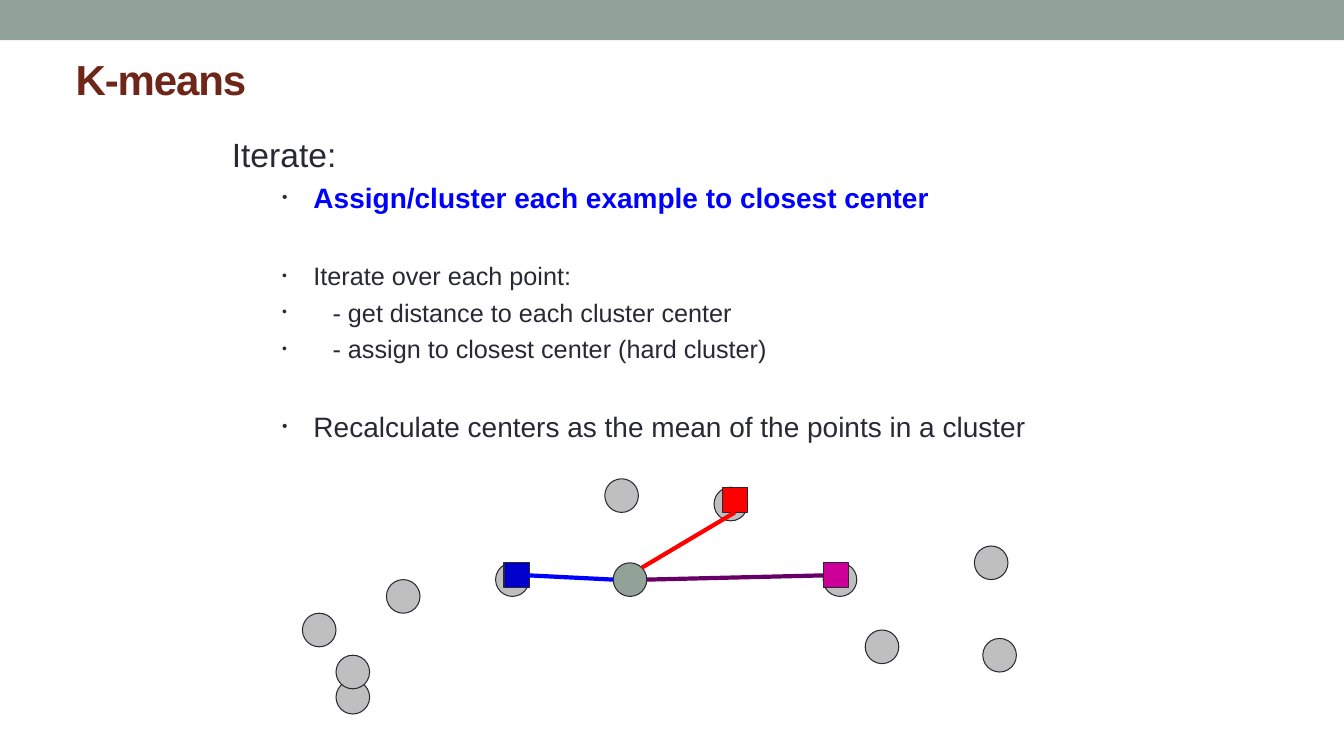
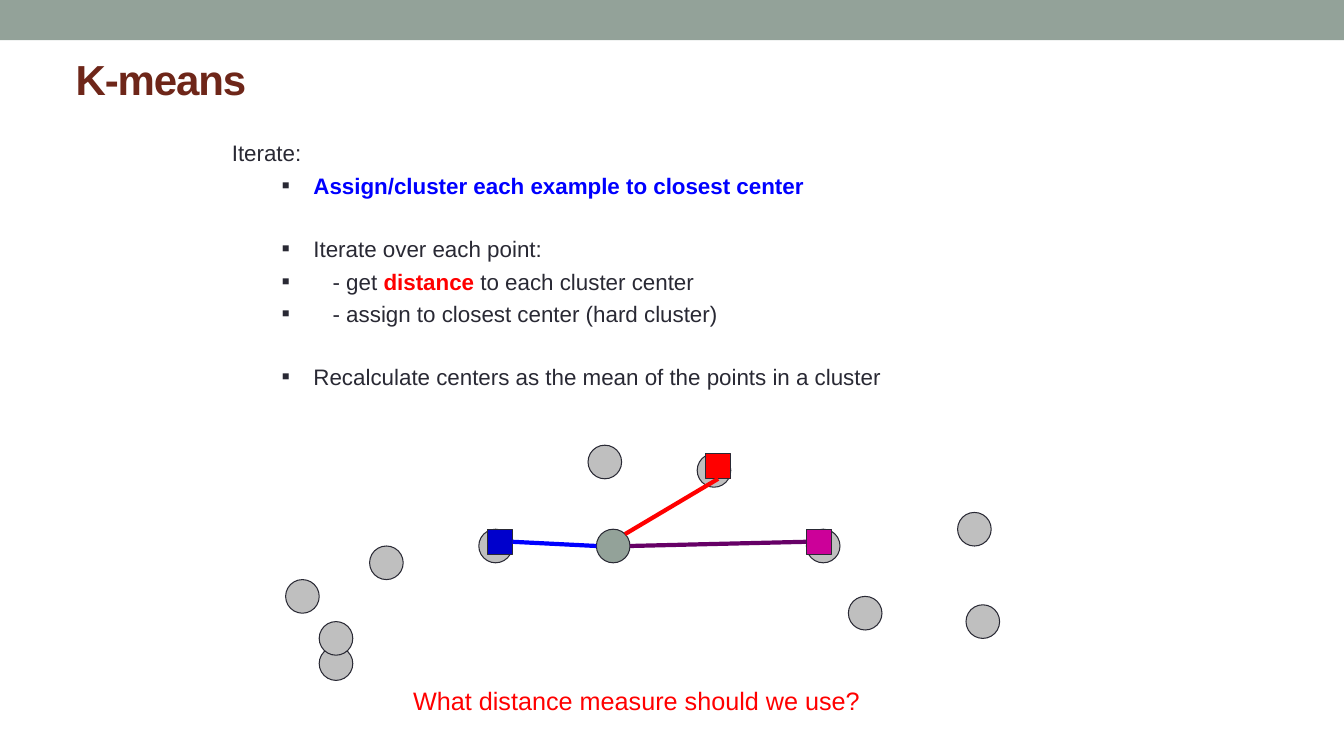
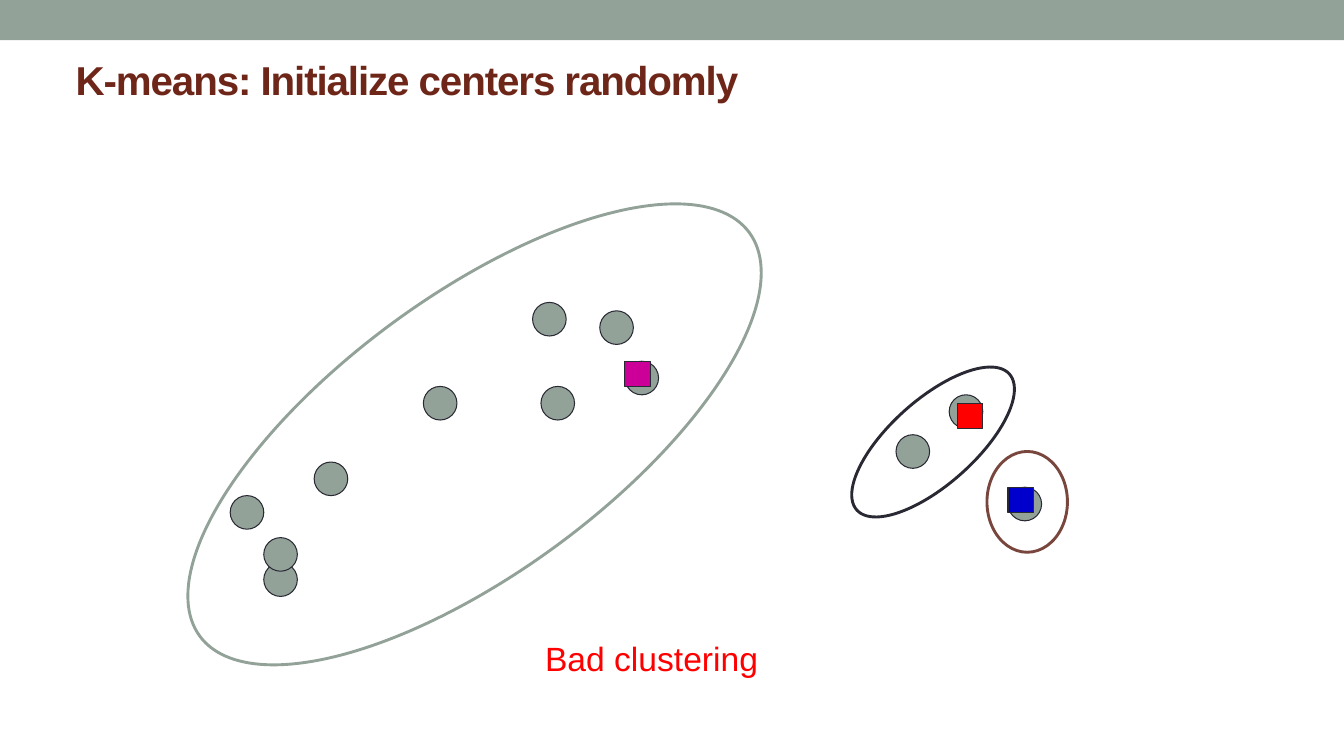
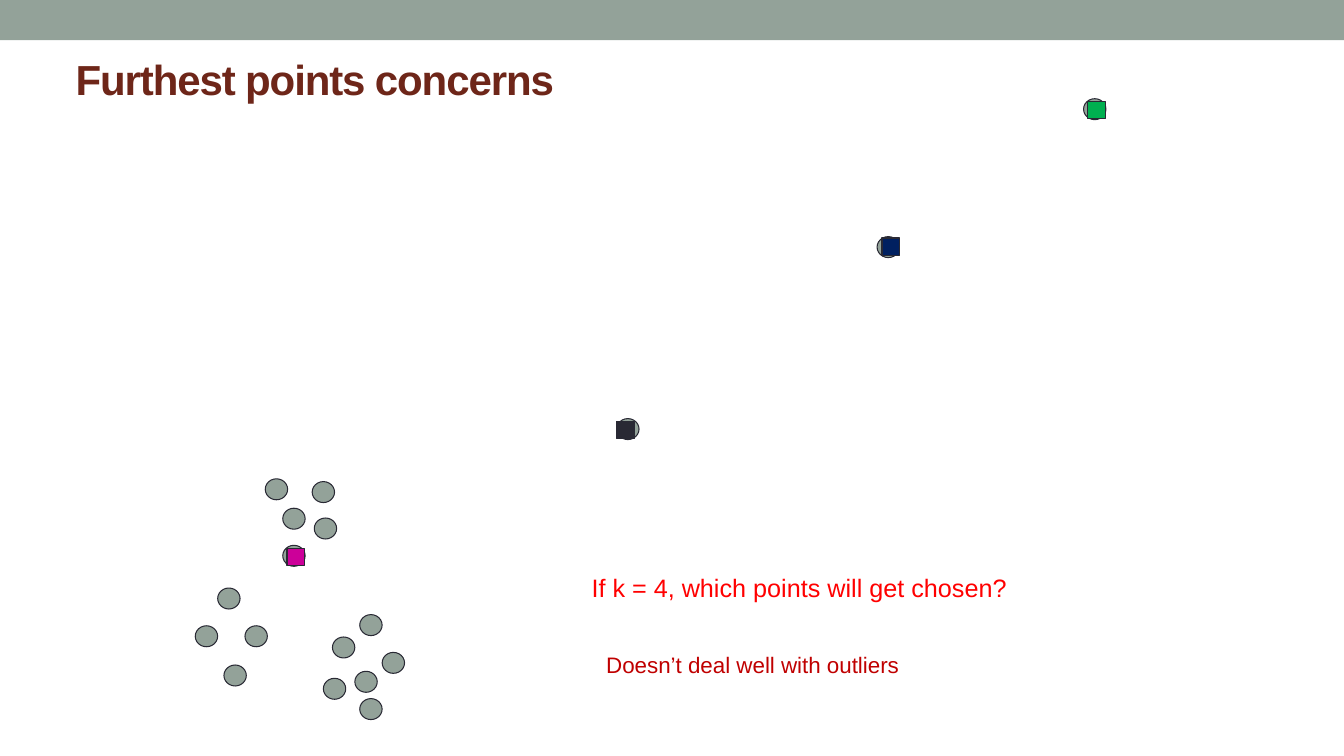
from dataclasses import dataclass

import pptx
import pptx.dml.color
import pptx.enum.shapes
import pptx.enum.text
import pptx.oxml
import pptx.oxml.ns
import pptx.presentation
import pptx.shapes.autoshape
import pptx.slide
import pptx.text.text
import pptx.util

Pt = pptx.util.Pt
SHAPES = pptx.enum.shapes.MSO_SHAPE
FONT = "Arial"
SLIDE_WIDTH, SLIDE_HEIGHT = 960, 540
TITLE_AND_BODY, TITLE_ONLY = 1, 5
COLORS = {
    "sage": "93A299", "maroon": "6E2619", "ink": "292934", "gray": "BFBFBF",
    "blue": "0000FF", "deep blue": "0000CC", "red": "FF0000",
    "magenta": "CC0099", "purple": "660066", "brown": "79463D",
    "navy": "002060", "green": "00B050", "dark red": "C00000",
}


@dataclass(frozen=True)
class Center:
    left: float
    top: float
    color: str


@dataclass(frozen=True)
class Outline:
    left: float
    top: float
    width: float
    height: float
    rotation: float
    color: str


@dataclass(frozen=True)
class Span:
    text: str
    color: str = "ink"
    bold: bool = False


@dataclass(frozen=True)
class Line:
    spans: tuple[Span, ...]
    size: float
    space_before: float
    bulleted: bool = True


@dataclass(frozen=True)
class Remark:
    text: str
    left: float
    top: float
    width: float
    height: float
    size: float
    color: str = "red"


ITERATION_POINTS = [
    (240, 486), (216, 438), (276, 414), (696, 390), (432, 342), (510, 348),
    (354, 402), (702, 456), (588, 402), (240, 468), (618, 450),
]
CURRENT_POINT = (438, 402)
BLUE_CENTER = Center(360, 402, "deep blue")
RED_CENTER = Center(516, 348, "red")
MAGENTA_CENTER = Center(588, 402, "magenta")

RANDOM_POINTS = [
    (188.4, 402), (164.4, 354), (224.4, 330), (678, 282), (380.4, 216),
    (428.4, 222), (386.4, 276), (302.4, 276), (720, 348), (446.4, 258),
    (188.4, 384), (640, 310.5),
]
RANDOM_CENTERS = [
    Center(720, 348, "deep blue"), Center(684, 288, "red"),
    Center(446.4, 258, "magenta"),
]
BAD_CLUSTERS = [
    Outline(95.5, 211.5, 487, 197.5, 323.7, "sage"),
    Outline(593.5, 285.5, 146, 60.5, 318.3, "ink"),
    Outline(705, 322.5, 57.5, 72, 0, "brown"),
]

OUTLIER_POINTS = [
    (155.5, 420), (139.5, 447), (175, 447), (160, 475), (202, 363),
    (202, 389.5), (224.5, 370), (231, 484.5), (253.5, 479.5), (237.5, 455),
    (257, 439), (273, 466), (257, 499), (223, 344), (189.5, 342),
    (774, 70.5), (626.5, 169), (440.5, 299),
]
FURTHEST_CENTERS = [
    Center(205, 391.5, "magenta"), Center(440.5, 301, "ink"),
    Center(630, 170, "navy"), Center(777, 72.5, "green"),
]


def rgb(name: str) -> pptx.dml.color.RGBColor:
    return pptx.dml.color.RGBColor.from_string(COLORS[name])


def format_run(run: pptx.text.text._Run, size: float, color: str, bold: bool = False) -> None:
    run.font.name = FONT
    run.font.size = Pt(size)
    run.font.bold = bold
    run.font.color.rgb = rgb(color)


def add_band(slide: pptx.slide.Slide, master: pptx.slide.SlideMaster) -> None:
    """Draw the top band and move it to the master, behind its placeholders."""
    band = slide.shapes.add_shape(SHAPES.RECTANGLE, 0, 0, Pt(SLIDE_WIDTH), Pt(28.8))
    band.shadow.inherit = False
    band.fill.solid()
    band.fill.fore_color.rgb = rgb("sage")
    band.line.fill.background()
    master.shapes.element.insert(2, band.element)


def add_titled_slide(deck: pptx.presentation.Presentation, layout: int, title: str,
                     size: float = 30) -> pptx.slide.Slide:
    slide = deck.slides.add_slide(deck.slide_layouts[layout])
    heading = slide.shapes.title
    heading.left, heading.top, heading.width, heading.height = Pt(48), Pt(35.3), Pt(864), Pt(42.5)
    frame = heading.text_frame
    frame.text = title
    frame.auto_size = pptx.enum.text.MSO_AUTO_SIZE.NONE
    frame.vertical_anchor = pptx.enum.text.MSO_ANCHOR.MIDDLE
    frame.margin_left = frame.margin_right = Pt(6)
    frame.margin_top = frame.margin_bottom = Pt(3)
    paragraph = frame.paragraphs[0]
    paragraph.alignment = pptx.enum.text.PP_ALIGN.LEFT
    format_run(paragraph.runs[0], size, "maroon", bold=True)
    paragraph.runs[0]._r.get_or_add_rPr().set("spc", "-80")
    return slide


def set_bullet(paragraph: pptx.text.text._Paragraph, bullet: str | None) -> None:
    properties = paragraph._p.get_or_add_pPr()
    margin, indent = (58.3, -22.3) if bullet else (0, 0)
    properties.set("marL", str(int(Pt(margin))))
    properties.set("indent", str(int(Pt(indent))))
    if bullet:
        tags = [f'<a:buClr {{ns}}><a:srgbClr val="{COLORS["ink"]}"/></a:buClr>',
                '<a:buSzPct {ns} val="55000"/>',
                f'<a:buFont {{ns}} typeface="{FONT}"/>',
                f'<a:buChar {{ns}} char="{bullet}"/>']
    else:
        tags = ["<a:buNone {ns}/>"]
    for tag in tags:
        properties.append(pptx.oxml.parse_xml(tag.format(ns=pptx.oxml.ns.nsdecls("a"))))


def fill_body(slide: pptx.slide.Slide, top: float, height: float,
              lines: list[Line], bullet: str) -> None:
    body = slide.placeholders[1]
    body.left, body.top, body.width, body.height = Pt(158.4), Pt(top), Pt(642), Pt(height)
    frame = body.text_frame
    frame.auto_size = pptx.enum.text.MSO_AUTO_SIZE.NONE
    for index, line in enumerate(lines):
        paragraph = frame.add_paragraph() if index else frame.paragraphs[0]
        paragraph.level = 1 if line.bulleted else 0
        set_bullet(paragraph, bullet if line.bulleted else None)
        paragraph.space_before = Pt(line.space_before)
        for span in line.spans:
            run = paragraph.add_run()
            run.text = span.text
            format_run(run, line.size, span.color, span.bold)


def iteration_lines(sizes: tuple[float, float, float], gap: float, group_gap: float,
                    distance: Span) -> list[Line]:
    """Lines of the algorithm; sizes are for the lead, the steps and the details."""
    lead, step, detail = sizes
    return [
        Line((Span("Iterate:"),), lead, 0, bulleted=False),
        Line((Span("Assign/cluster each example to closest center", "blue", True),), step, gap),
        Line((Span("Iterate over each point:"),), detail, group_gap),
        Line((Span("\t- get "), distance, Span(" to each cluster center")), detail, gap),
        Line((Span("\t- assign to closest center (hard cluster)"),), detail, gap),
        Line((Span("Recalculate centers as the mean of the points in a cluster"),), step, group_gap),
    ]


def add_marker(slide: pptx.slide.Slide, preset: SHAPES, left: float, top: float,
               width: float, height: float, color: str) -> pptx.shapes.autoshape.Shape:
    marker = slide.shapes.add_shape(preset, Pt(left), Pt(top), Pt(width), Pt(height))
    marker.shadow.inherit = False
    marker.fill.solid()
    marker.fill.fore_color.rgb = rgb(color)
    marker.line.color.rgb = rgb("ink")
    marker.line.width = Pt(0.75)
    return marker


def add_points(slide: pptx.slide.Slide, points: list[tuple[float, float]], color: str = "sage",
               width: float = 24, height: float = 24) -> None:
    for left, top in points:
        add_marker(slide, SHAPES.OVAL, left, top, width, height, color)


def add_center(slide: pptx.slide.Slide, center: Center,
               side: float = 18) -> pptx.shapes.autoshape.Shape:
    return add_marker(slide, SHAPES.RECTANGLE, center.left, center.top, side, side, center.color)


def add_distance(slide: pptx.slide.Slide, x: float, y: float,
                 center: pptx.shapes.autoshape.Shape, site: int, color: str) -> None:
    """Join the point's edge at (x, y) to a side of a cluster center."""
    distance = slide.shapes.add_connector(
        pptx.enum.shapes.MSO_CONNECTOR.STRAIGHT, Pt(x), Pt(y), Pt(x), Pt(y))
    distance.end_connect(center, site)
    distance.line.color.rgb = rgb(color)
    distance.line.width = Pt(3)
    effects = pptx.oxml.parse_xml(f'<a:effectLst {pptx.oxml.ns.nsdecls("a")}/>')
    distance.element.spPr.append(effects)


def draw_assignment(slide: pptx.slide.Slide, dx: float = 0, dy: float = 0) -> None:
    """Draw the points, centers and distances, all moved by (dx, dy)."""
    add_points(slide, [(x + dx, y + dy) for x, y in ITERATION_POINTS], "gray")
    left, top = CURRENT_POINT[0] + dx, CURRENT_POINT[1] + dy
    add_points(slide, [(left, top)])
    blue, red, magenta = (
        add_center(slide, Center(center.left + dx, center.top + dy, center.color))
        for center in (BLUE_CENTER, RED_CENTER, MAGENTA_CENTER))
    add_distance(slide, left + 20.5, top + 3.5, red, 2, "red")
    add_distance(slide, left + 24, top + 12, magenta, 1, "purple")
    add_distance(slide, left, top + 12, blue, 3, "blue")


def add_outline(slide: pptx.slide.Slide, outline: Outline) -> None:
    cluster = slide.shapes.add_shape(SHAPES.OVAL, Pt(outline.left), Pt(outline.top),
                                     Pt(outline.width), Pt(outline.height))
    cluster.shadow.inherit = False
    cluster.rotation = outline.rotation
    cluster.fill.background()
    cluster.line.color.rgb = rgb(outline.color)
    cluster.line.width = Pt(2.08)


def add_remark(slide: pptx.slide.Slide, remark: Remark) -> None:
    box = slide.shapes.add_textbox(Pt(remark.left), Pt(remark.top),
                                   Pt(remark.width), Pt(remark.height))
    frame = box.text_frame
    frame.word_wrap = True
    frame.text = remark.text
    format_run(frame.paragraphs[0].runs[0], remark.size, remark.color)


def build_assignment(deck: pptx.presentation.Presentation) -> None:
    slide = add_titled_slide(deck, TITLE_AND_BODY, "K-means")
    add_band(slide, deck.slide_master)
    fill_body(slide, 92, 240, iteration_lines((24, 20, 18), 4.5, 33, Span("distance")), "•")
    draw_assignment(slide)


def build_distance_question(deck: pptx.presentation.Presentation) -> None:
    slide = add_titled_slide(deck, TITLE_AND_BODY, "K-means")
    distance = Span("distance", "red", True)
    fill_body(slide, 96, 212, iteration_lines((16, 16, 16), 4, 26, distance), "■")
    draw_assignment(slide, -12, -24)
    add_remark(slide, Remark("What distance measure should we use?", 288, 486, 336, 29, 18))


def build_random_centers(deck: pptx.presentation.Presentation) -> None:
    slide = add_titled_slide(deck, TITLE_ONLY, "K-means: Initialize centers randomly", 28.8)
    add_points(slide, RANDOM_POINTS)
    for center in RANDOM_CENTERS:
        add_center(slide, center)
    add_remark(slide, Remark("Bad clustering", 382.3, 452.2, 180, 36, 24))
    for outline in BAD_CLUSTERS:
        add_outline(slide, outline)


def build_furthest_points(deck: pptx.presentation.Presentation) -> None:
    slide = add_titled_slide(deck, TITLE_ONLY, "Furthest points concerns")
    add_points(slide, OUTLIER_POINTS, width=16, height=15)
    for center in FURTHEST_CENTERS:
        add_center(slide, center, 12.5)
    add_remark(slide, Remark("If k = 4, which points will get chosen?", 415.5, 405.5, 324, 29, 18))
    add_remark(slide, Remark("Doesn’t deal well with outliers", 425.9, 461.5, 240, 27, 16, "dark red"))


def main() -> None:
    deck = pptx.Presentation()
    deck.slide_width, deck.slide_height = Pt(SLIDE_WIDTH), Pt(SLIDE_HEIGHT)
    build_assignment(deck)
    build_distance_question(deck)
    build_random_centers(deck)
    build_furthest_points(deck)
    deck.save("out.pptx")


if __name__ == "__main__":
    main()
